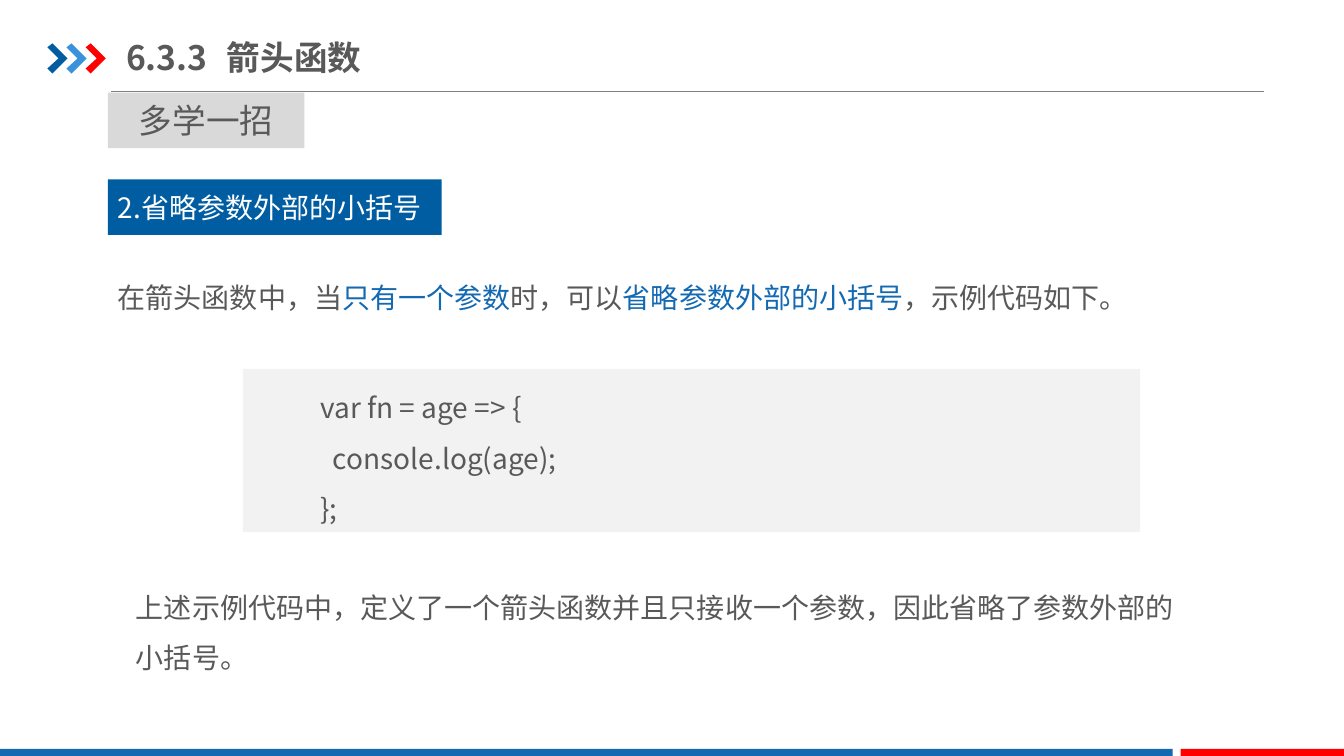
"""Build the slide on leaving out the parentheses around an arrow function's parameter."""
from lxml import etree
from pptx import Presentation
from pptx.dml.color import RGBColor
from pptx.enum.shapes import MSO_CONNECTOR, MSO_SHAPE
from pptx.enum.text import MSO_ANCHOR, MSO_AUTO_SIZE, PP_ALIGN
from pptx.oxml.ns import qn
from pptx.util import Pt

PX = 9144
RECTANGLE = MSO_SHAPE.RECTANGLE
STRAIGHT = MSO_CONNECTOR.STRAIGHT
TOP, MIDDLE = MSO_ANCHOR.TOP, MSO_ANCHOR.MIDDLE
LEFT, CENTER = PP_ALIGN.LEFT, PP_ALIGN.CENTER
FIXED, GROW = MSO_AUTO_SIZE.NONE, MSO_AUTO_SIZE.SHAPE_TO_FIT_TEXT
THEME = {
    "font": "Noto Sans CJK SC", "heading": 24, "body": 20,
    "text": "595959", "white": "FFFFFF", "accent": "1369B2", "navy": "005DA2",
    "sky": "3992DB", "red": "FF0000", "rule": "808080", "tag": "D9D9D9", "code": "F2F2F2",
}


def paint(shape, color):
    shape.fill.solid()
    shape.fill.fore_color.rgb = RGBColor.from_string(THEME[color])
    shape.line.fill.background()
    shape.shadow.inherit = False


def write(box, lines, size="body", bold=False, indent=0, frame_format=None, para_format=None):
    frame = box.text_frame
    frame_values = {"word_wrap": True, "auto_size": FIXED, "vertical_anchor": MIDDLE}
    for name, value in (frame_values | (frame_format or {})).items():
        setattr(frame, name, value)
    for number, line in enumerate(lines):
        para = frame.add_paragraph() if number else frame.paragraphs[0]
        for name, value in ({"alignment": LEFT} | (para_format or {})).items():
            setattr(para, name, value)
        if indent:
            properties = para._p.get_or_add_pPr()
            properties.set("marL", str(indent * PX))
            properties.set("indent", "0")
        for text, color in line:
            span = para.add_run()
            span.text = text
            span.font.color.rgb = RGBColor.from_string(THEME[color])
            for name, value in {"name": THEME["font"], "size": Pt(THEME[size]), "bold": bold}.items():
                setattr(span.font, name, value)
            etree.SubElement(span._r.get_or_add_rPr(), qn("a:ea"), typeface=THEME["font"])


deck = Presentation()
deck.slide_width, deck.slide_height = 1333 * PX, 750 * PX
page = deck.slides.add_slide(deck.slide_layouts[5])
shapes = page.shapes

rule = shapes.add_connector(STRAIGHT, 110 * PX, 91 * PX, 1254 * PX, 91 * PX)
rule.line.color.rgb = RGBColor.from_string(THEME["rule"])
rule.line.width = Pt(0.75)
etree.SubElement(rule._element.spPr, qn("a:effectLst"))

CHEVRON = [(0, 4), (5, 0), (20, 15), (5, 30), (0, 25), (11, 15)]
for number, color in enumerate(["navy", "sky", "red"]):
    points = [(47 + 19 * number + x, 43 + y) for x, y in CHEVRON]
    outline = shapes.build_freeform(*points[0], scale=PX)
    outline.add_line_segments(points[1:], close=True)
    paint(outline.convert_to_shape(), color)

panels = {}
for name, color, area in [
    ("footer", "accent", (0, 743, 1163, 9)),
    ("footer end", "red", (1171, 743, 163, 9)),
    ("tag", "tag", (107, 92, 195, 55)),
    ("heading", "navy", (107, 178, 331, 55)),
    ("code", "code", (241, 366, 890, 162)),
]:
    panels[name] = shapes.add_shape(RECTANGLE, *(length * PX for length in area))
    paint(panels[name], color)

title = shapes.title
for name, value in {"left": 125, "top": 29, "width": 426, "height": 55}.items():
    setattr(title, name, value * PX)
write(title, [[("6.3.3\t箭头函数", "text")]], "heading", bold=True,
      frame_format={"margin_left": 0, "margin_right": 0, "margin_top": 7 * PX, "margin_bottom": 7 * PX})

write(panels["tag"], [[("多学一招", "text")]], "heading", para_format={"alignment": CENTER})
write(panels["heading"], [[("2.省略参数外部的小括号", "white")]])

flow = {"frame_format": {"auto_size": GROW, "vertical_anchor": TOP}, "para_format": {"line_spacing": 1.5}}
code_lines = ["var fn = age => {", "  console.log(age);", "};"]
write(panels["code"], [[(line, "text")] for line in code_lines], indent=67, **flow)

introduction = [
    ("在箭头函数中，当", "text"), ("只有一个参数", "accent"), ("时，可以", "text"),
    ("省略参数外部的小括号", "accent"), ("，示例代码如下。", "text"),
]
summary = [("上述示例代码中，定义了一个箭头函数并且只接收一个参数，因此省略了参数外部的小括号。", "text")]
for line, area in [(introduction, (107, 257, 1024, 61)), (summary, (125, 564, 1069, 111))]:
    write(shapes.add_textbox(*(length * PX for length in area)), [line], **flow)

deck.save("out.pptx")
